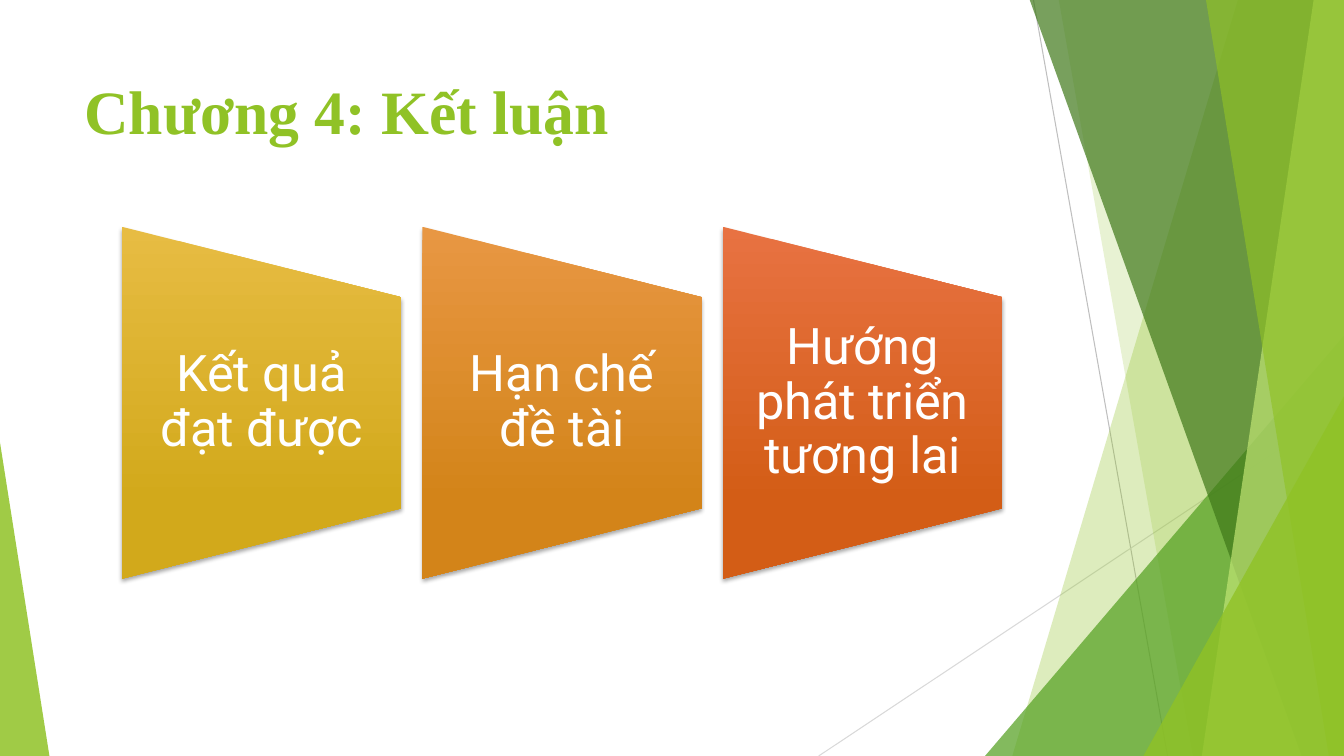
from collections import namedtuple
from dataclasses import dataclass

from lxml.etree import SubElement
from pptx import Presentation
from pptx.dml.color import RGBColor
from pptx.enum.shapes import MSO_CONNECTOR, MSO_SHAPE
from pptx.enum.text import MSO_ANCHOR, PP_ALIGN
from pptx.oxml.ns import qn
from pptx.util import Inches, Pt

Box = namedtuple("Box", "left top width height")
Band = namedtuple("Band", "top_x bottom_x colour opacity")
Wedge = namedtuple("Wedge", "left top width height apex colour opacity")
Panel = namedtuple("Panel", "label light dark")


@dataclass(frozen=True)
class Theme:
    """Colours, fonts and type sizes of the slide."""
    green: str = "90C226"
    leaf: str = "54A021"
    forest: str = "3F7819"
    lime: str = "C0E474"
    grey: str = "BFBFBF"
    pale_grey: str = "D9D9D9"
    white: str = "FFFFFF"
    shadow: str = "000000"
    gold: tuple = ("E7BC43", "D2A91B")
    amber: tuple = ("E89743", "D38419")
    rust: tuple = ("E87242", "D35D16")
    title_font: str = "Times New Roman"
    panel_font: str = "Roboto"
    title_size: int = 44
    panel_size: int = 36


THEME = Theme()
PAGE = Box(0, 0, 13.33, 7.5)
RAYS = [
    ((10.25, 0), (11.58, 7.5), THEME.grey),
    ((13.33, 4.03), (8.12, 7.5), THEME.pale_grey),
]
FACETS = [
    Band(12.28, 10.04, THEME.green, 30),
    Band(10.5, 11.83, THEME.green, 20),
    Wedge(9.77, 3.33, 3.56, 4.17, 1, THEME.leaf, 72),
    Band(10.21, 12.91, THEME.forest, 70),
    Band(13.03, 11.92, THEME.lime, 70),
    Band(11.96, 13.18, THEME.green, 65),
    Wedge(11.34, 3.93, 1.99, 3.57, 1, THEME.green, 80),
    Wedge(0, 4.39, 0.49, 3.11, 0, THEME.green, 85),
]
PANELS = [
    Panel("Kết quả đạt được", *THEME.gold),
    Panel("Hạn chế đề tài", *THEME.amber),
    Panel("Hướng phát triển tương lai", *THEME.rust),
]


def lengths(*values):
    """Convert numbers in inches to slide lengths."""
    return [Inches(value) for value in values]


def fill_translucent(shape, colour, opacity):
    """Fill a borderless shape with a partly transparent colour."""
    shape.shadow.inherit = False
    shape.line.fill.background()
    shape.fill.solid()
    shape.fill.fore_color.rgb = RGBColor.from_string(colour)
    tint = shape._element.spPr.find(qn("a:solidFill")).find(qn("a:srgbClr"))
    SubElement(tint, qn("a:alpha"), val=str(opacity * 1000))


def add_band(slide, box, band):
    """Draw a slanted band that runs to the right edge of the box."""
    right, bottom = box.left + box.width, box.top + box.height
    builder = slide.shapes.build_freeform(
        *lengths(box.left + band.top_x, box.top - 0.01))
    builder.add_line_segments(
        [lengths(right, box.top - 0.01), lengths(right, bottom),
         lengths(box.left + band.bottom_x, bottom)], close=True)
    fill_translucent(builder.convert_to_shape(), band.colour, band.opacity)


def add_wedge(slide, box, wedge):
    """Draw a right-angled triangle inside the box."""
    triangle = slide.shapes.add_shape(
        MSO_SHAPE.ISOSCELES_TRIANGLE,
        *lengths(box.left + wedge.left, box.top + wedge.top, wedge.width, wedge.height))
    triangle.adjustments[0] = wedge.apex
    fill_translucent(triangle, wedge.colour, wedge.opacity)


def add_backdrop(slide, box):
    """Draw the thin rays and green facets behind the content."""
    for start, end, colour in RAYS:
        ray = slide.shapes.add_connector(
            MSO_CONNECTOR.STRAIGHT,
            *lengths(box.left + start[0], box.top + start[1],
                     box.left + end[0], box.top + end[1]))
        ray.line.color.rgb = RGBColor.from_string(colour)
        ray.line.width = Pt(0.75)
        SubElement(ray._element.spPr, qn("a:effectLst"))
    for facet in FACETS:
        draw = add_band if isinstance(facet, Band) else add_wedge
        draw(slide, box, facet)


def add_text(slide, box, words, font_name, size, colour, bold=False):
    """Add a wrapping text box and return its text frame."""
    frame = slide.shapes.add_textbox(*lengths(*box)).text_frame
    frame.word_wrap = True
    frame.text = words
    font = frame.paragraphs[0].runs[0].font
    font.name = font_name
    font.size = Pt(size)
    font.bold = bold
    font.color.rgb = RGBColor.from_string(colour)
    return frame


def add_title(slide, box):
    """Write the chapter title."""
    add_text(slide, box, "Chương 4: Kết luận", THEME.title_font,
             THEME.title_size, THEME.green, bold=True)


def add_shadow(shape):
    """Give a shape a soft shadow below it."""
    shape.shadow.inherit = False
    effects = shape._element.spPr.find(qn("a:effectLst"))
    outer = SubElement(effects, qn("a:outerShdw"), blurRad=str(Pt(3)),
                       dist=str(Pt(2)), dir="5400000", rotWithShape="0")
    shade = SubElement(outer, qn("a:srgbClr"), val=THEME.shadow)
    SubElement(shade, qn("a:alpha"), val="35000")


def add_panel(slide, box, panel):
    """Draw one tapering panel with its label."""
    left = box.left + (box.width - box.height) / 2
    top = box.top + (box.height - box.width) / 2
    taper = slide.shapes.add_shape(
        MSO_SHAPE.FLOWCHART_MANUAL_OPERATION,
        *lengths(left, top, box.height, box.width))
    taper.rotation = 270
    taper.line.fill.background()
    taper.fill.gradient()
    taper.fill.gradient_angle = 270
    taper._element.spPr.find(qn("a:gradFill")).set("rotWithShape", "0")
    stops = zip(taper.fill.gradient_stops, (0, 0.78), (panel.light, panel.dark))
    for stop, position, colour in stops:
        stop.position = position
        stop.color.rgb = RGBColor.from_string(colour)
    add_shadow(taper)

    label_box = Box(box.left, box.top + box.height * 0.2, box.width, box.height * 0.6)
    frame = add_text(slide, label_box, panel.label, THEME.panel_font,
                     THEME.panel_size, THEME.white)
    frame.vertical_anchor = MSO_ANCHOR.MIDDLE
    frame.margin_left = frame.margin_right = Inches(0.25)
    frame.margin_top = frame.margin_bottom = 0
    frame.paragraphs[0].alignment = PP_ALIGN.CENTER
    frame.paragraphs[0].line_spacing = 0.9


def add_panels(slide, box, gap):
    """Spread the panels evenly across the box."""
    width = (box.width - gap * (len(PANELS) - 1)) / len(PANELS)
    for index, panel in enumerate(PANELS):
        left = box.left + index * (width + gap)
        add_panel(slide, Box(left, box.top, width, box.height), panel)


def main():
    """Build and save the slide."""
    deck = Presentation()
    deck.slide_width, deck.slide_height = lengths(PAGE.width, PAGE.height)
    slide = deck.slides.add_slide(deck.slide_layouts[6])
    add_backdrop(slide, PAGE)
    add_title(slide, Box(0.74, 0.67, 9.4, 1.44))
    add_panels(slide, Box(1.21, 2.25, 8.73, 3.49), gap=0.21)
    deck.save("out.pptx")


if __name__ == "__main__":
    main()
